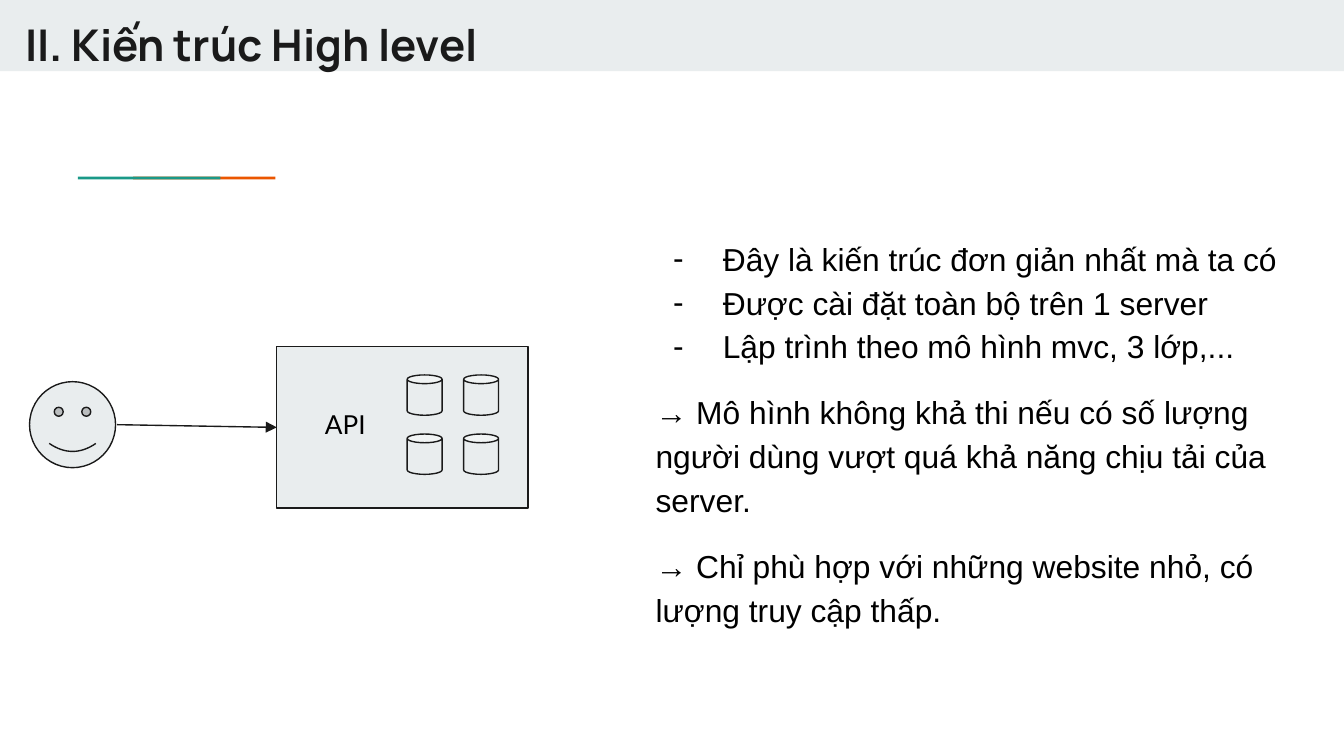
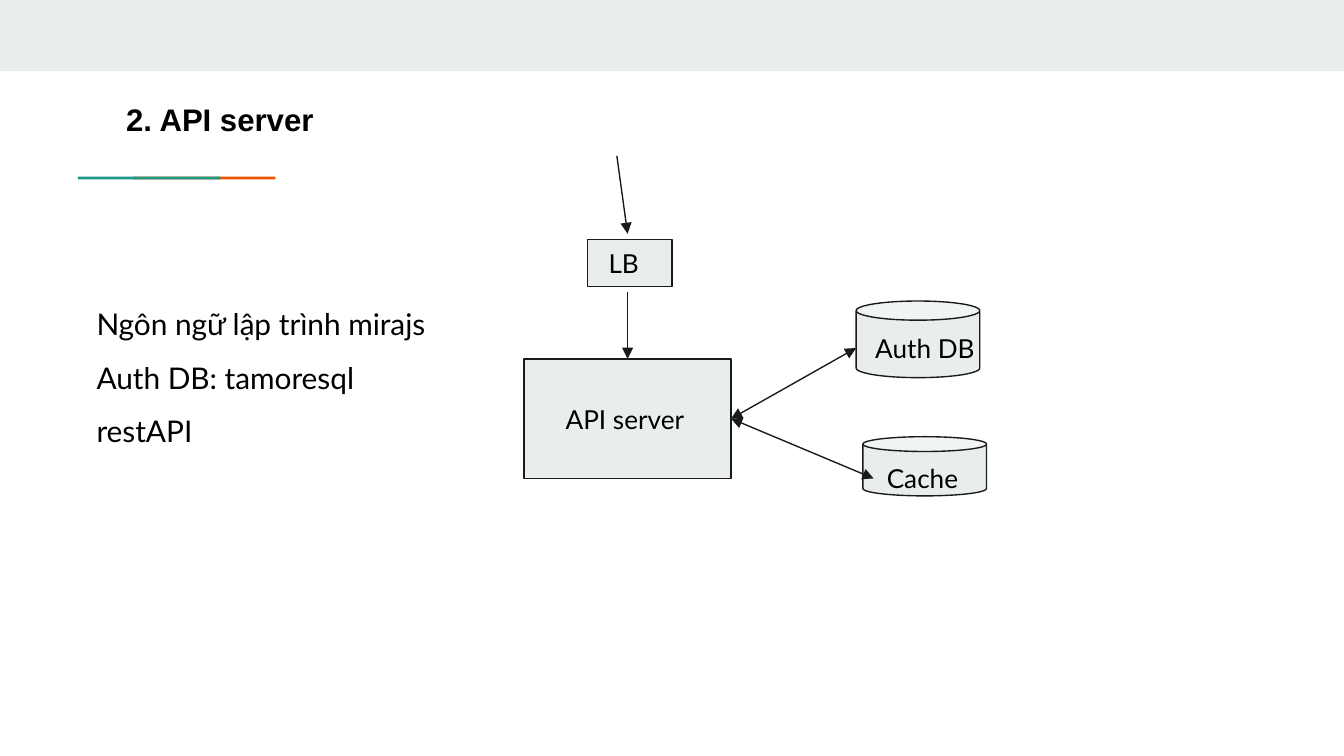
from itertools import product

from lxml import etree
from pptx import Presentation
from pptx.dml.color import RGBColor
from pptx.enum import shapes, text
from pptx.oxml import ns
from pptx.util import Inches, Pt

COLS, ROWS = 100, 56.25
CELL = Inches(10) / COLS
BAND, INK, BLACK = "E9EDEE", "1A1A1A", "000000"
TEAL, ORANGE = "1A9988", "EB5600"
RECT, CAN, FACE = (shapes.MSO_SHAPE.RECTANGLE, shapes.MSO_SHAPE.CAN,
                   shapes.MSO_SHAPE.SMILEY_FACE)


def rgb(value):
    """Turn a hex string into a colour."""
    return RGBColor.from_string(value)


def grid(*cells):
    """Turn counts of grid cells into lengths."""
    return [round(c * CELL) for c in cells]


def add_shape(s, kind, at, fill=BAND, line=INK):
    """Add a flat preset shape."""
    sp = s.shapes.add_shape(kind, *grid(*at))
    sp.shadow.inherit = False
    sp.fill.solid()
    sp.fill.fore_color.rgb = rgb(fill)
    if line:
        sp.line.color.rgb = rgb(line)
        sp.line.width = Pt(0.75)
    else:
        sp.line.fill.background()
    return sp


def add_text(s, at, *lines, size=14, font="Lato", color=BLACK, bold=False,
             spacing=1.0):
    """Add a text box with one paragraph per line and return its paragraphs."""
    tf = s.shapes.add_textbox(*grid(*at)).text_frame
    tf.word_wrap = True
    tf.vertical_anchor = text.MSO_ANCHOR.TOP
    tf.margin_left = tf.margin_right = tf.margin_top = tf.margin_bottom = Inches(0.1)
    for i, line in enumerate(lines):
        p = tf.paragraphs[0] if i == 0 else tf.add_paragraph()
        p.line_spacing = spacing
        r = p.add_run()
        r.text = line
        r.font.size, r.font.name, r.font.bold = Pt(size), font, bold
        r.font.color.rgb = rgb(color)
    return tf.paragraphs


def add_dash(p):
    """Give a paragraph a hanging dash bullet."""
    pr = p._p.get_or_add_pPr()
    pr.set("marL", str(Inches(0.5)))
    pr.set("indent", str(Inches(-0.37)))
    etree.SubElement(pr, ns.qn("a:buFont"), typeface="Arial")
    etree.SubElement(pr, ns.qn("a:buChar"), char="-")


def add_arrow(s, start, end, both=False):
    """Add a straight arrow with a head at its end or at both ends."""
    c = s.shapes.add_connector(shapes.MSO_CONNECTOR.STRAIGHT, *grid(*start, *end))
    c.line.color.rgb = rgb(INK)
    c.line.width = Pt(0.75)
    ln = c.line._get_or_add_ln()
    for tag in ("a:headEnd", "a:tailEnd") if both else ("a:tailEnd",):
        etree.SubElement(ln, ns.qn(tag), type="triangle")
    etree.SubElement(c._element.spPr, ns.qn("a:effectLst"))
    return c


def add_base(prs):
    """Add a slide with the top band and the two-colour rule."""
    s = prs.slides.add_slide(prs.slide_layouts[6])
    add_shape(s, RECT, (0, 0, COLS, 5.3), line=None)
    for left, color in ((9.9, ORANGE), (5.8, TEAL)):
        add_shape(s, RECT, (left, 13.15, 10.6, 0.2), color, None)
    return s


def build_overview(prs):
    """Build the high-level architecture slide."""
    s = add_base(prs)
    add_text(s, (0.9, 0.3, 84.1, 5.9), "II. Kiến trúc High level",
             size=23.4, font="Manrope", color=INK, bold=True)
    body = add_text(
        s, (47.8, 16.4, 49, 39.8),
        "Đây là kiến trúc đơn giản nhất mà ta có",
        "Được cài đặt toàn bộ trên 1 server",
        "Lập trình theo mô hình mvc, 3 lớp,...",
        "→ Mô hình không khả thi nếu có số lượng người dùng vượt quá "
        "khả năng chịu tải của server.",
        "→ Chỉ phù hợp với những website nhỏ, có lượng truy cập thấp.",
        size=17, font="Arial", spacing=1.15)
    for p in body[:3]:
        add_dash(p)
    for p in body[3:]:
        p.space_before = Pt(12)
    add_shape(s, FACE, (2.2, 28.4, 6.4, 6.4))
    server = add_shape(s, RECT, (20.6, 25.8, 18.7, 12))
    for top, left in product((27.9, 32.3), (30.3, 34.5)):
        add_shape(s, CAN, (left, top, 2.6, 3))
    add_text(s, (23.2, 29.4, 6.4, 4.4), "API")
    add_arrow(s, (8.7, 31.6), (20.6, 31.8)).end_connect(server, 1)


def build_api(prs):
    """Build the API server slide."""
    s = add_base(prs)
    heading = add_text(s, (8.4, 6.9, 18, 4.4), "2. API server",
                       size=16.7, font="Arial", bold=True, spacing=0.85)
    heading[0].space_after = Pt(12)
    add_text(s, (6.2, 20.4, 29.6, 12.8), "Ngôn ngữ lập trình mirajs",
             "Auth DB: tamoresql", "restAPI", size=16, spacing=1.5)
    server = add_shape(s, RECT, (39, 26.7, 15.4, 8.9))
    add_shape(s, RECT, (43.7, 17.8, 6.3, 3.5))
    add_shape(s, CAN, (63.7, 22.4, 9.2, 5.7))
    add_shape(s, CAN, (64.2, 32.5, 9.2, 4.4))
    for at, label in (((41.1, 29, 11.1, 4.4), "API server"),
                      ((63.7, 23.7, 11.1, 4.4), " Auth DB"),
                      ((65, 33.4, 8.4, 4.4), "Cache"),
                      ((44.3, 17.4, 4.7, 4.4), "LB")):
        add_text(s, at, label)
    for end in ((63.7, 25.9), (65, 35.6)):
        add_arrow(s, (54.4, 31.2), end, both=True).begin_connect(server, 3)
    add_arrow(s, (46.7, 21.7), (46.7, 26.7)).end_connect(server, 0)
    add_arrow(s, (45.9, 11.6), (46.7, 17.4))


def main():
    """Build and save the presentation."""
    prs = Presentation()
    prs.slide_width, prs.slide_height = grid(COLS, ROWS)
    build_overview(prs)
    build_api(prs)
    prs.save("out.pptx")


if __name__ == "__main__":
    main()
